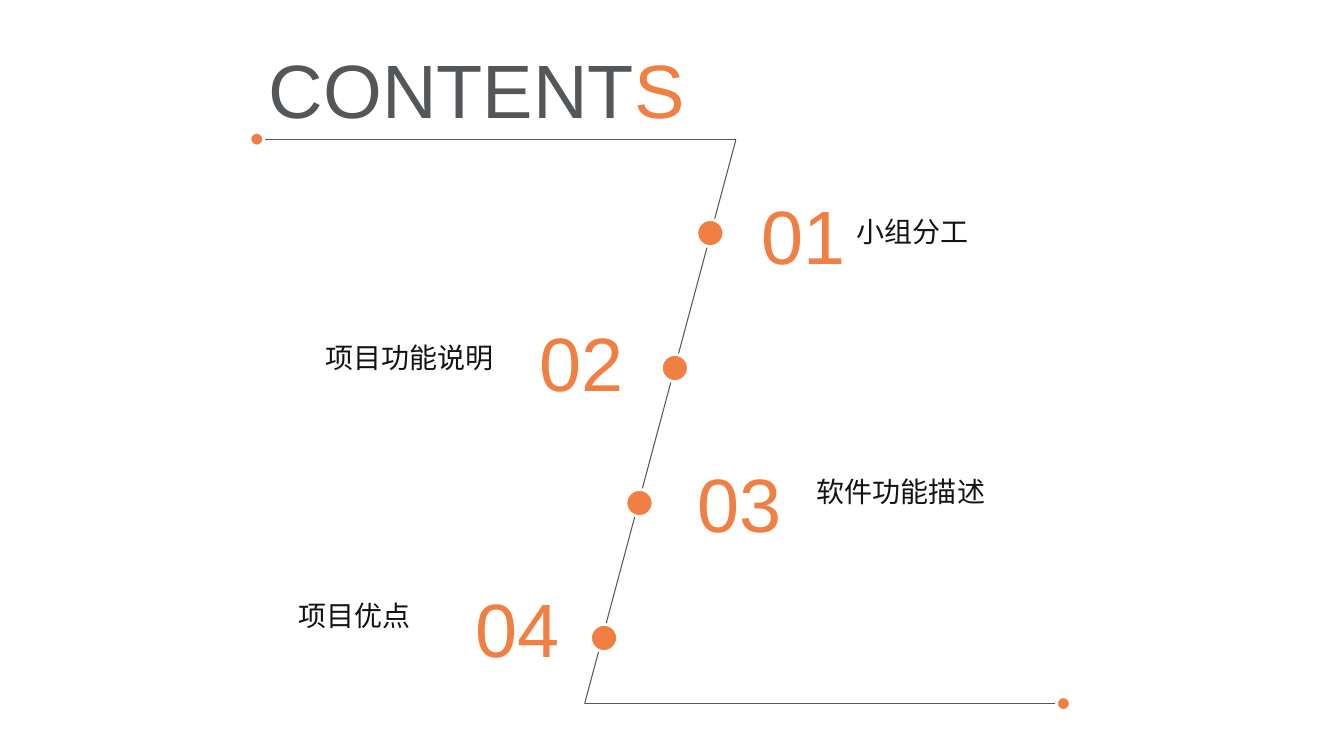
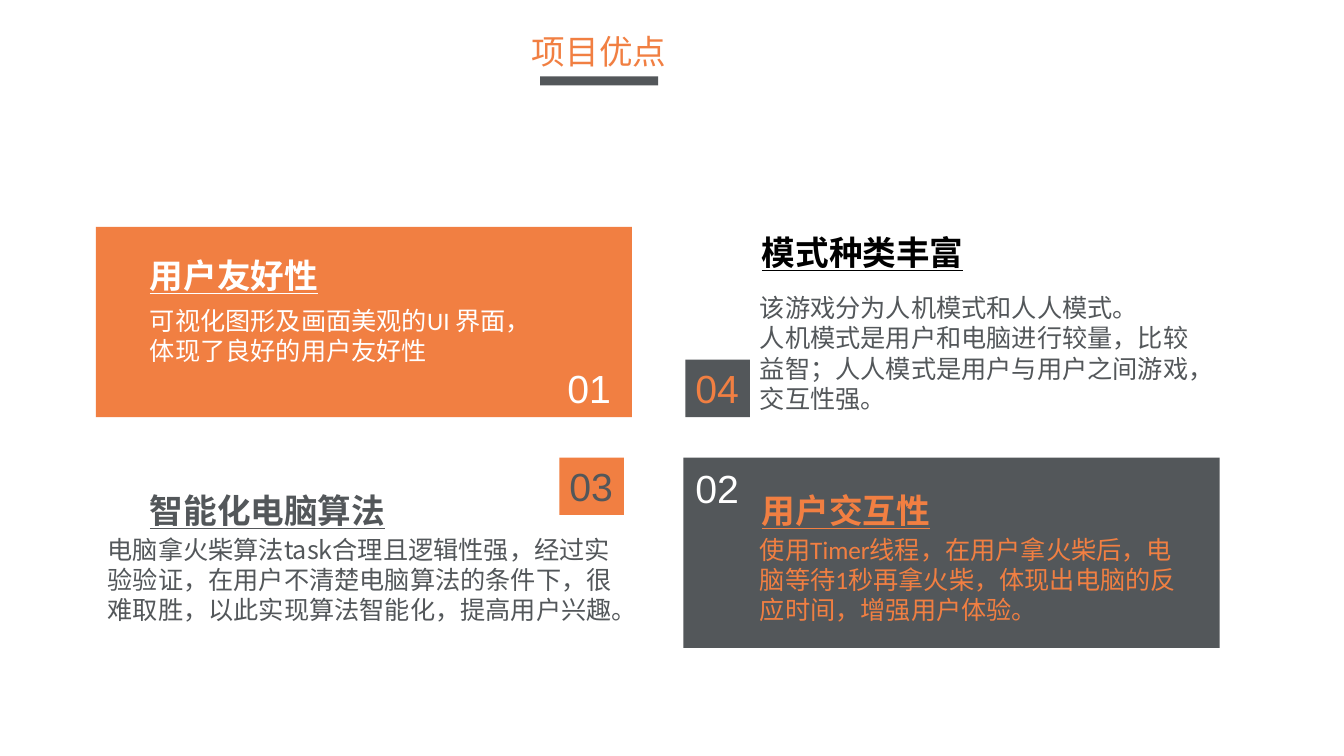
from dataclasses import dataclass
from itertools import pairwise
from typing import Optional

from lxml import etree
from pptx import Presentation
from pptx.dml.color import RGBColor
from pptx.enum import shapes, text
from pptx.oxml import ns
from pptx.util import Pt

ORANGE, GREY, WHITE, BLACK, INK = "F17F42", "53575A", "FFFFFF", "000000", "131313"
ARIAL, CALIBRI, CHINESE = "Arial", "Calibri", "Noto Sans CJK SC"
LEFT, CENTER = text.PP_ALIGN.LEFT, text.PP_ALIGN.CENTER


@dataclass(frozen=True)
class Style:
    size: float
    color: str
    font: str = ARIAL
    strong: bool = False  # bold and underlined


@dataclass(frozen=True)
class Box:
    left: float
    top: float
    width: float
    height: float

    def lengths(self) -> list:
        return [Pt(value) for value in (self.left, self.top, self.width, self.height)]


@dataclass(frozen=True)
class Entry:
    number: str
    number_left: float
    number_top: float
    label: str
    label_left: float
    label_top: float
    label_width: float


@dataclass(frozen=True)
class Card:
    number: str
    badge: Box
    badge_fill: Optional[str]
    number_color: str
    heading: str
    heading_box: Box
    heading_color: str
    body: tuple
    body_box: Box
    body_style: Style
    panel: Optional[Box] = None
    panel_fill: str = ORANGE


ENTRIES = (
    Entry("01", 536.8, 131.4, "小组分工", 604.8, 149.8, 94.3),
    Entry("02", 378, 221.8, "项目功能说明", 225.4, 239.4, 134.6),
    Entry("03", 491, 322.6, "软件功能描述", 576.4, 335.5, 134.6),
    Entry("04", 332.6, 411.8, "项目优点", 206.3, 423.8, 94.3),
)
ZIGZAG = ((185, 100), (525.6, 100), (417.6, 502.6), (758.2, 502.6))
END_DOTS = ((183.4, 99.4), (759.6, 502.6))

CARDS = (
    Card("01", Box(398.2, 257, 46, 41), None, WHITE,
         "用户友好性", Box(100, 178.6, 134.6, 36), WHITE,
         ("可视化图形及画面美观的UI 界面，", "体现了良好的用户友好性"),
         Box(100, 214.6, 322.6, 51), Style(18, WHITE, CALIBRI),
         Box(68.4, 162, 383, 136), ORANGE),
    Card("02", Box(489.6, 328.3, 46, 41), None, WHITE,
         "用户交互性", Box(537.1, 346.3, 134.6, 36), ORANGE,
         ("使用Timer线程，在用户拿火柴后，电脑等待1秒再拿火柴，"
          "体现出电脑的反应时间，增强用户体验。",),
         Box(535.7, 378, 324, 72.7), Style(18, ORANGE, CALIBRI),
         Box(488.2, 326.9, 383, 136), GREY),
    Card("03", Box(399.6, 326.9, 46, 41), ORANGE, GREY,
         "智能化电脑算法", Box(100, 346.3, 182.9, 36), GREY,
         ("电脑拿火柴算法task合理且逻辑性强，经过实验验证，"
          "在用户不清楚电脑算法的条件下，很难取胜，以此实现算法智能化，提高用户兴趣。",),
         Box(69.8, 378, 383, 72.7), Style(18, GREY, CHINESE)),
    Card("04", Box(489.6, 257, 46, 41), GREY, ORANGE,
         "模式种类丰富", Box(537.1, 162, 158.6, 36), BLACK,
         ("该游戏分为人机模式和人人模式。",
          "人机模式是用户和电脑进行较量，比较益智；人人模式是用户与用户之间游戏，交互性强。"),
         Box(535.7, 205.4, 322.6, 94.3), Style(18, GREY, CHINESE)),
)


def rgb(value: str) -> RGBColor:
    return RGBColor.from_string(value)


def add_run(paragraph, content: str, style: Style) -> None:
    run = paragraph.add_run()
    run.text = content
    font = run.font
    font.size, font.name = Pt(style.size), style.font
    font.bold = font.underline = style.strong
    font.color.rgb = rgb(style.color)
    east_asian = etree.SubElement(run._r.get_or_add_rPr(), ns.qn("a:ea"))
    east_asian.set("typeface", CHINESE)


def add_text(slide, box: Box, lines: tuple, style: Style, wrap: bool = False,
             fill: Optional[str] = None) -> None:
    shape = slide.shapes.add_textbox(*box.lengths())
    if fill:
        shape.fill.solid()
        shape.fill.fore_color.rgb = rgb(fill)
    frame = shape.text_frame
    frame.word_wrap = wrap
    for index, line in enumerate(lines):
        paragraph = frame.add_paragraph() if index else frame.paragraphs[0]
        paragraph.alignment = LEFT
        add_run(paragraph, line, style)


def set_title(slide, box: Box, runs: tuple) -> None:
    title = slide.shapes.title
    title.left, title.top, title.width, title.height = box.lengths()
    frame = title.text_frame
    frame.auto_size = text.MSO_AUTO_SIZE.NONE
    frame.vertical_anchor = text.MSO_ANCHOR.TOP
    frame.word_wrap = False
    paragraph = frame.paragraphs[0]
    paragraph.alignment = CENTER
    for content, style in runs:
        add_run(paragraph, content, style)


def add_figure(slide, kind, box: Box, fill: str, outline: Optional[str] = None) -> None:
    shape = slide.shapes.add_shape(kind, *box.lengths())
    shape.shadow.inherit = False
    shape.fill.solid()
    shape.fill.fore_color.rgb = rgb(fill)
    if outline:
        shape.line.color.rgb = rgb(outline)
        shape.line.width = Pt(2)
    else:
        shape.line.fill.background()


def add_dot(slide, center_x: float, center_y: float, size: float) -> None:
    box = Box(center_x - size / 2, center_y - size / 2, size, size)
    add_figure(slide, shapes.MSO_SHAPE.OVAL, box, ORANGE, WHITE)


def add_line(slide, start: tuple, end: tuple) -> None:
    line = slide.shapes.add_connector(
        shapes.MSO_CONNECTOR.STRAIGHT, *(Pt(value) for value in start + end))
    line.line.color.rgb = rgb(GREY)
    line.line.width = Pt(0.75)
    etree.SubElement(line._element.spPr, ns.qn("a:effectLst"))


def build_contents(slide) -> None:
    set_title(slide, Box(173, 27, 335, 72.7),
              (("CONTENT", Style(54, GREY)), ("S", Style(54, ORANGE))))
    for start, end in pairwise(ZIGZAG):
        add_line(slide, start, end)
    for center_x, center_y in END_DOTS:
        add_dot(slide, center_x, center_y, 10)
    for index, entry in enumerate(ENTRIES):
        add_dot(slide, 507.4 - 25.3 * index, 166.5 + 96.4 * index, 19.4)
        add_text(slide, Box(entry.number_left, entry.number_top, 85, 72.7),
                 (entry.number,), Style(54, ORANGE), wrap=True)
        add_text(slide, Box(entry.label_left, entry.label_top, entry.label_width, 31.7),
                 (entry.label,), Style(20, INK, CHINESE))


def add_card(slide, card: Card) -> None:
    if card.panel:
        add_figure(slide, shapes.MSO_SHAPE.RECTANGLE, card.panel, card.panel_fill)
    add_text(slide, card.badge, (card.number,), Style(28, card.number_color),
             fill=card.badge_fill)
    add_text(slide, card.heading_box, (card.heading,),
             Style(24, card.heading_color, strong=True))
    add_text(slide, card.body_box, card.body, card.body_style, wrap=True)


def build_advantages(slide) -> None:
    set_title(slide, Box(353, 18.4, 150, 36), (("项目优点", Style(24, ORANGE)),))
    add_figure(slide, shapes.MSO_SHAPE.RECTANGLE, Box(385.9, 54.5, 84.2, 6.5), GREY)
    for card in CARDS:
        add_card(slide, card)


def main() -> None:
    presentation = Presentation()
    presentation.slide_width, presentation.slide_height = Pt(960), Pt(540)
    title_only = presentation.slide_layouts[5]
    for build in (build_contents, build_advantages):
        build(presentation.slides.add_slide(title_only))
    presentation.save("out.pptx")


if __name__ == "__main__":
    main()
